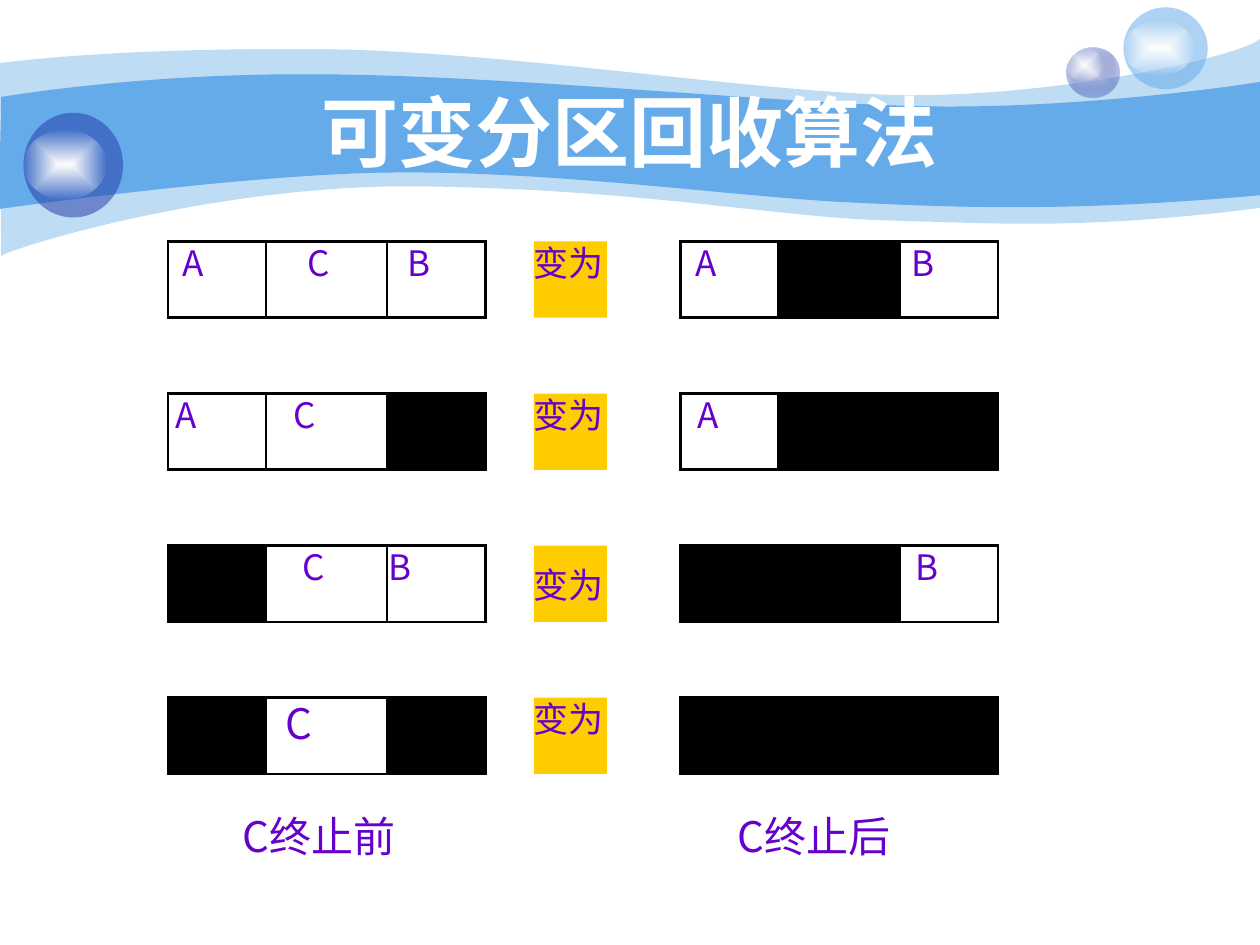
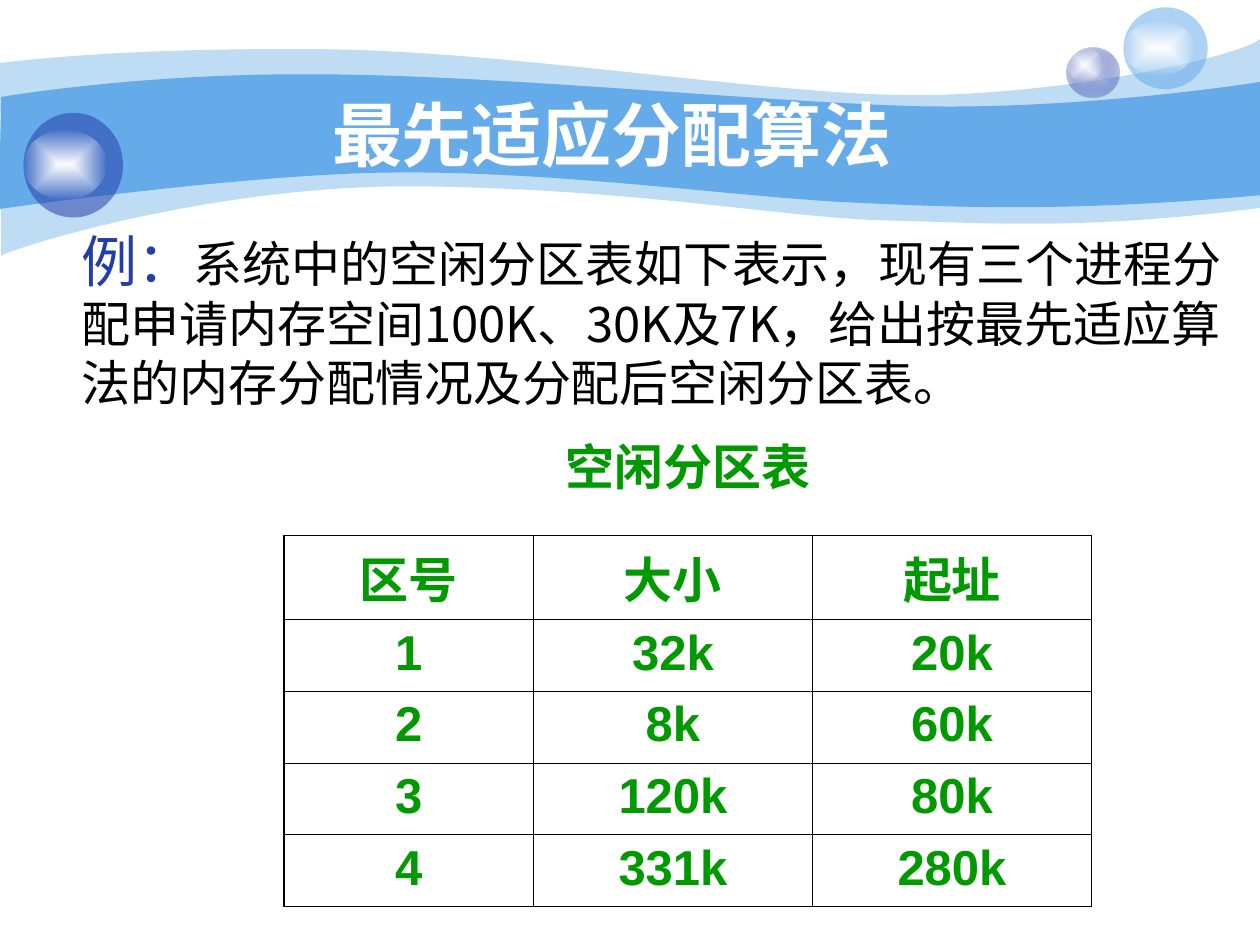
from lxml import etree
from pptx import Presentation
from pptx.dml.color import RGBColor
from pptx.enum.shapes import MSO_CONNECTOR, MSO_SHAPE
from pptx.enum.text import MSO_ANCHOR, MSO_AUTO_SIZE, PP_ALIGN
from pptx.oxml import parse_xml
from pptx.oxml.ns import qn
from pptx.util import Pt

RECTANGLE = MSO_SHAPE.RECTANGLE
OVAL = MSO_SHAPE.OVAL
STRAIGHT = MSO_CONNECTOR.STRAIGHT
TOP, MIDDLE = MSO_ANCHOR.TOP, MSO_ANCHOR.MIDDLE
LEFT, CENTER = PP_ALIGN.LEFT, PP_ALIGN.CENTER
NO_FIT = MSO_AUTO_SIZE.NONE
DRAWING_NS = "http://schemas.openxmlformats.org/drawingml/2006/main"

COLORS = {
    "white": "FFFFFF",
    "black": "000000",
    "sky": "65AAE9",
    "navy": "233DA9",
    "mist": "C7CEE9",
    "purple": "6600CC",
    "amber": "FFCC00",
    "green": "009900",
}
CJK_JP, CJK_SC = "Noto Sans CJK JP", "Noto Sans CJK SC"
MEMORY_TITLE = {"name": CJK_JP, "size": Pt(44), "bold": True}
FIT_TITLE = {"name": "Arial", "size": Pt(40), "bold": True}
LABEL = {"name": CJK_JP, "size": Pt(20)}
BIG_LABEL = {"name": CJK_JP, "size": Pt(24)}
EXAMPLE_LEAD = {"name": CJK_SC, "size": Pt(32)}
EXAMPLE_BODY = {"name": CJK_SC, "size": Pt(28)}
TABLE_CAPTION = {"name": "Roboto", "size": Pt(28), "bold": True}
TABLE_TEXT = {"name": "Arial", "size": Pt(28), "bold": True}

OUTER_WAVE = (
    [(0, 36), (17.3, 33.8), (77, 27.4), (177.8, 28.1), (277.9, 28.1), (414, 50.4),
     (503.3, 54), (591.8, 57.6), (705.6, 33.8), (720, 22.3)],
    [(720, 118.8), (617.8, 131.8), (566.6, 127.4), (507.6, 126), (447.8, 124.6),
     (370.8, 108.7), (247, 106.6), (123.8, 103.7), (2.9, 143.3), (0.7, 146.2)],
)
INNER_WAVE = (
    [(0.7, 55.4), (1.4, 55.4), (79.2, 41.8), (178.6, 42.5), (277.9, 42.5), (428.4, 57.6),
     (517, 60.5), (605.5, 63.4), (702.7, 49.7), (720, 46.8)],
    [(720, 111.6), (614.2, 121), (550.8, 118.8), (491, 115.9), (431.3, 113.8),
     (321.8, 97.9), (228.2, 98.6), (146.2, 98.6), (-1.4, 119.5), (-0.7, 119.5)],
)
SHINE = [(0, "white", 100), (100, "white", 0)]
BUBBLES = [
    ((609.5, 27.2, 30.2, 28.8), [(0, "mist", 100), (100, "navy", 31)]),
    ((609.5, 27.2, 20.2, 19.4), SHINE),
    ((642, 4.2, 48.2, 46.8), [(0, "sky", 53)]),
    ((642, 12.1, 40.3, 31), SHINE),
    ((13.4, 64.5, 56.9, 59.8), [(0, "navy", 53)]),
    ((13.4, 74, 47.5, 40.3), SHINE),
]

MEMORY_LEFTS = (95.9, 388.9)
MEMORY_TOP, MEMORY_PITCH, MEMORY_HEIGHT = 138, 86.9, 43.6
BOUNDS = (0, 56.1, 125.3, 181.4)
MEMORY_STATES = [
    (([("A", 8.5), ("C", 80), ("B", 137)], []), ([("A", 8.5), ("B", 132)], [(1, 2)])),
    (([("A", 4.5), ("C", 72)], [(2, 3)]), ([("A", 9.5)], [(1, 3)])),
    (([("C", 77), ("B", 126)], [(0, 1)]), ([("B", 134.5)], [(0, 2)])),
    (([("C", 67)], [(0, 1), (2, 3)]), ([], [(0, 3)])),
]
FREE_PARTITIONS = [
    ("区号", "大小", "起址"),
    ("1", "32k", "20k"),
    ("2", "8k", "60k"),
    ("3", "120k", "80k"),
    ("4", "331k", "280k"),
]


def rgb(color):
    return RGBColor.from_string(COLORS[color])


def points(box):
    return [Pt(length) for length in box]


def write(frame, runs, align=LEFT, tabs=()):
    paragraph = frame.paragraphs[0]
    paragraph.alignment = align
    if tabs:
        tab_list = etree.SubElement(paragraph._p.get_or_add_pPr(), qn("a:tabLst"))
        for stop in tabs:
            etree.SubElement(tab_list, qn("a:tab"), pos=str(Pt(stop)), algn="l")
    for text, style, color in runs:
        run = paragraph.add_run()
        run.text = text
        for attribute, value in style.items():
            setattr(run.font, attribute, value)
        run.font.color.rgb = rgb(color)
        etree.SubElement(run._r.get_or_add_rPr(), qn("a:ea"), typeface=style["name"])


def set_frame(frame, inset=(7.2, 3.6, 7.2, 3.6), anchor=TOP):
    left, top, right, bottom = points(inset)
    settings = {
        "word_wrap": True, "auto_size": NO_FIT, "vertical_anchor": anchor,
        "margin_left": left, "margin_top": top,
        "margin_right": right, "margin_bottom": bottom,
    }
    for attribute, value in settings.items():
        setattr(frame, attribute, value)


def add_block(slide, box, fill, outlined=False, top_inset=0):
    block = slide.shapes.add_shape(RECTANGLE, *points(box))
    block.shadow.inherit = False
    block.fill.solid()
    block.fill.fore_color.rgb = rgb(fill)
    if outlined:
        block.line.color.rgb = rgb("black")
        block.line.width = Pt(1.5)
        etree.SubElement(block._element.spPr.find(qn("a:ln")), qn("a:miter"), lim="800000")
    else:
        block.line.fill.background()
    set_frame(block.text_frame, (0, top_inset, 0, 0))
    return block


def add_divider(slide, x, top, bottom):
    divider = slide.shapes.add_connector(STRAIGHT, *points((x, top, x, bottom)))
    divider.line.color.rgb = rgb("black")
    divider.line.width = Pt(1.5)
    etree.SubElement(divider._element.spPr, qn("a:effectLst"))


def add_text(slide, box, runs, align=LEFT):
    frame = slide.shapes.add_textbox(*points(box)).text_frame
    set_frame(frame)
    write(frame, runs, align)


def set_title(slide, text, box, style):
    title = slide.shapes.title
    title.left, title.top, title.width, title.height = points(box)
    set_frame(title.text_frame, anchor=MIDDLE)
    write(title.text_frame, [(text, style, "white")], CENTER)


def fill_see_through(shape, stops):
    colors = [
        f'<a:srgbClr val="{COLORS[color]}"><a:alpha val="{alpha * 1000}"/></a:srgbClr>'
        for _, color, alpha in stops
    ]
    if len(stops) == 1:
        markup = f'<a:solidFill xmlns:a="{DRAWING_NS}">{colors[0]}</a:solidFill>'
    else:
        marks = "".join(
            f'<a:gs pos="{stop[0] * 1000}">{color}</a:gs>'
            for stop, color in zip(stops, colors)
        )
        markup = (
            f'<a:gradFill xmlns:a="{DRAWING_NS}" rotWithShape="1"><a:gsLst>{marks}</a:gsLst>'
            '<a:path path="rect"><a:fillToRect l="50000" t="50000" r="50000" b="50000"/>'
            "</a:path></a:gradFill>"
        )
    shape.shadow.inherit = False
    shape.line.fill.background()
    shape._element.spPr.insert(2, parse_xml(markup))


def add_wave(slide, edges, alpha):
    outline = [points(control) for edge in edges for control in edge]
    builder = slide.shapes.build_freeform(*outline[0])
    builder.add_line_segments(outline[1:], close=True)
    wave = builder.convert_to_shape()
    segments = list(wave._element.iter(qn("a:lnTo")))
    for first in (0, 3, 6, 10, 13, 16):
        curve = etree.Element(qn("a:cubicBezTo"))
        segments[first].addprevious(curve)
        for segment in segments[first:first + 3]:
            curve.append(segment[0])
            segment.getparent().remove(segment)
    fill_see_through(wave, [(0, "sky", alpha)])
    return wave


def add_bubble(slide, box, stops):
    bubble = slide.shapes.add_shape(OVAL, *points(box))
    fill_see_through(bubble, stops)
    return bubble


def decorate_layout(layout, slide):
    decorations = [add_wave(slide, OUTER_WAVE, 41), add_wave(slide, INNER_WAVE, 100)]
    decorations += [add_bubble(slide, box, stops) for box, stops in BUBBLES]
    for decoration in decorations:
        layout.shapes._spTree.append(decoration._element)


def add_memory(slide, left, top, labels, free_spans, style):
    if labels:
        memory = add_block(slide, (left, top, BOUNDS[-1], MEMORY_HEIGHT), "white", True)
        text = "".join("\t" + name for name, _ in labels)
        write(memory.text_frame, [(text, style, "purple")],
              tabs=[stop for _, stop in labels])
    for index in (1, 2):
        if not any(start < index < end for start, end in free_spans):
            add_divider(slide, left + BOUNDS[index], top, top + MEMORY_HEIGHT)
    for start, end in free_spans:
        width = BOUNDS[end] - BOUNDS[start]
        add_block(slide, (left + BOUNDS[start], top, width, MEMORY_HEIGHT), "black", True)


def add_partition_table(slide):
    rows, columns = len(FREE_PARTITIONS), len(FREE_PARTITIONS[0])
    table = slide.shapes.add_table(rows, columns, *points((162.3, 306, 461.5, 212))).table
    table.first_row = table.horz_banding = False
    for column, width in zip(table.columns, (142.6, 159.3, 159.6)):
        column.width = Pt(width)
    for row, values in enumerate(FREE_PARTITIONS):
        table.rows[row].height = Pt(41 if row else 48)
        for column, value in enumerate(values):
            cell = table.cell(row, column)
            cell.margin_top = Pt(3.6 if row else 10.6)
            outer_sides = {"L": column == 0, "R": column == columns - 1,
                           "T": row == 0, "B": row == rows - 1}
            for side, is_outer in outer_sides.items():
                border = etree.SubElement(cell._tc.get_or_add_tcPr(), qn(f"a:ln{side}"),
                                          w=str(Pt(1.08 if is_outer else 0.45)))
                paint = etree.SubElement(border, qn("a:solidFill"))
                etree.SubElement(paint, qn("a:srgbClr"), val=COLORS["black"])
            cell.fill.background()
            write(cell.text_frame, [(value, TABLE_TEXT, "green")], CENTER)


def build_recovery_slide(slide):
    set_title(slide, "可变分区回收算法", (54, 29.8, 612, 90), MEMORY_TITLE)
    for row, states in enumerate(MEMORY_STATES):
        top = MEMORY_TOP + row * MEMORY_PITCH
        style = BIG_LABEL if row == 3 else LABEL
        for left, (labels, free_spans) in zip(MEMORY_LEFTS, states):
            add_memory(slide, left, top, labels, free_spans, style)
        becomes = add_block(slide, (305, top, 41.8, MEMORY_HEIGHT), "amber",
                            top_inset=10.5 if row == 2 else 0)
        write(becomes.text_frame, [("变为", LABEL, "purple")])
    for text, left, width in (("C终止前", 138.5, 120.2), ("C终止后", 421.4, 97.2)):
        caption = add_block(slide, (left, 463, width, 36), "white")
        write(caption.text_frame, [(text, BIG_LABEL, "purple")])


def build_first_fit_slide(slide):
    set_title(slide, "最先适应分配算法", (77.8, 50.8, 543.6, 51.1), FIT_TITLE)
    add_partition_table(slide)
    add_text(slide, (282.2, 246.2, 221.8, 41), [("空闲分区表", TABLE_CAPTION, "green")], CENTER)
    example = ("系统中的空闲分区表如下表示，现有三个进程分配申请内存空间100K、30K及7K，"
               "给出按最先适应算法的内存分配情况及分配后空闲分区表。")
    add_text(slide, (39.6, 126, 674.6, 113),
             [("例：", EXAMPLE_LEAD, "navy"), (example, EXAMPLE_BODY, "black")])


def main():
    deck = Presentation()
    deck.slide_width, deck.slide_height = Pt(720), Pt(540)
    title_only = deck.slide_layouts[5]
    recovery, first_fit = (deck.slides.add_slide(title_only) for _ in range(2))
    decorate_layout(title_only, recovery)
    build_recovery_slide(recovery)
    build_first_fit_slide(first_fit)
    deck.save("out.pptx")


if __name__ == "__main__":
    main()
